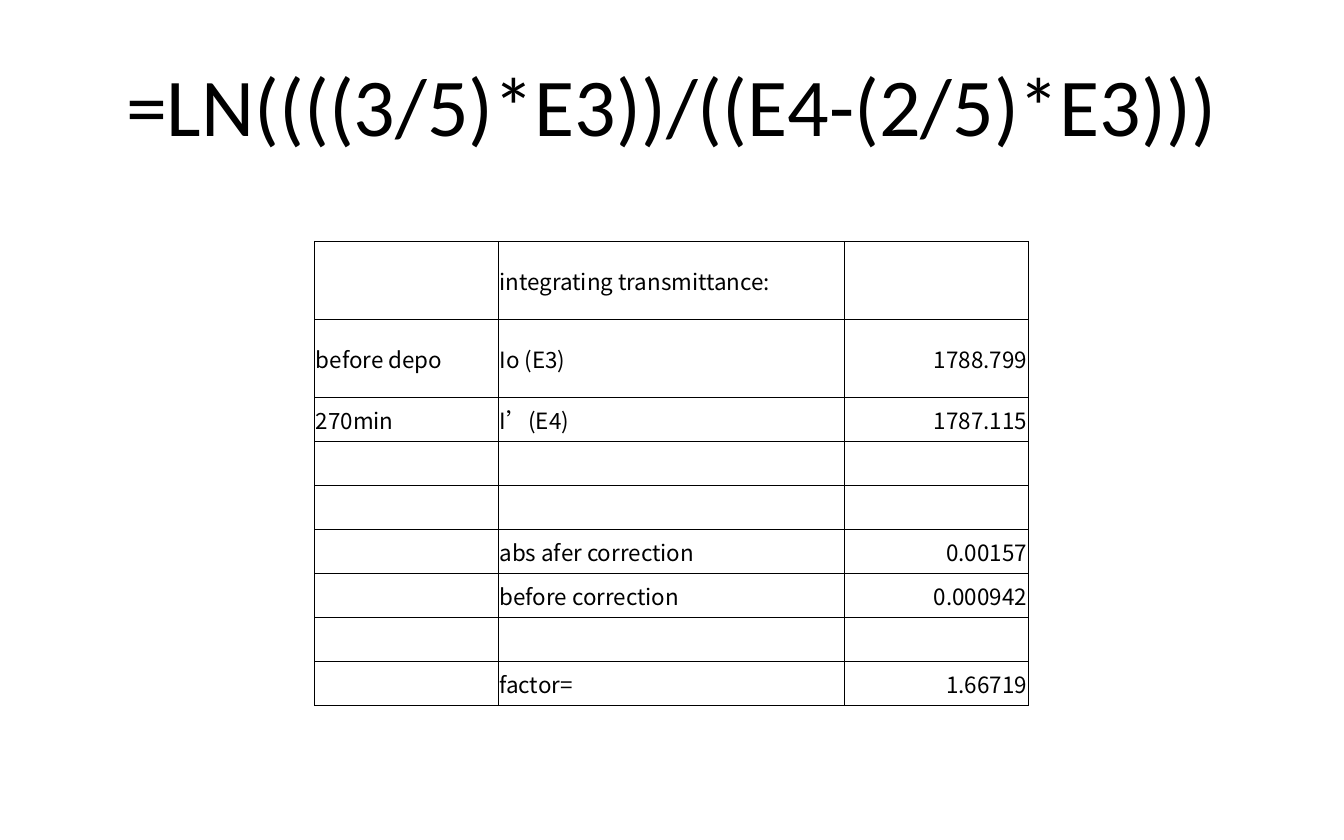
from lxml import etree
from pptx import Presentation
from pptx.dml.color import RGBColor
from pptx.enum import text
from pptx.oxml import ns
from pptx.util import Cm, Pt

TITLE = "=LN((((3/5)*E3))/((E4-(2/5)*E3)))"
ROWS = [
    ("", "integrating transmittance:", ""),
    ("before depo", "Io (E3)", "1788.799"),
    ("270min", "I’(E4)", "1787.115"),
    ("", "", ""),
    ("", "", ""),
    ("", "abs afer correction", "0.00157"),
    ("", "before correction", "0.000942"),
    ("", "", ""),
    ("", "factor=", "1.66719"),
]
COLUMN_WIDTHS = [3.47, 6.53, 3.48]
TALL_ROWS, TALL, SHORT = 2, 1.48, 0.83
COLORS = {"ink": "000000"}
TITLE_FONT, TABLE_FONT = "Calibri", "Noto Sans CJK TC"


def style_text(paragraph, font, size, alignment):
    paragraph.alignment = alignment
    for span in paragraph.runs:
        span.font.name = font
        span.font.size = Pt(size)
        span.font.color.rgb = RGBColor.from_string(COLORS["ink"])
        east_asian = etree.SubElement(span._r.get_or_add_rPr(), ns.qn("a:ea"))
        east_asian.set("typeface", font)


def add_borders(cell):
    properties = cell._tc.get_or_add_tcPr()
    for side in ("lnL", "lnR", "lnT", "lnB"):
        line = etree.SubElement(properties, ns.qn("a:" + side), w=str(Pt(0.5)))
        fill = etree.SubElement(line, ns.qn("a:solidFill"))
        etree.SubElement(fill, ns.qn("a:srgbClr"), val=COLORS["ink"])


def fill_cell(cell, content, alignment):
    cell.text_frame.text = content
    cell.vertical_anchor = text.MSO_ANCHOR.MIDDLE
    cell.margin_left = cell.margin_right = cell.margin_top = Cm(0.02)
    cell.margin_bottom = 0
    add_borders(cell)
    cell.fill.background()
    style_text(cell.text_frame.paragraphs[0], TABLE_FONT, 12, alignment)


def main():
    deck = Presentation()
    deck.slide_width, deck.slide_height = Cm(25.4), Cm(15.88)
    page = deck.slides.add_slide(deck.slide_layouts[5])

    title = page.shapes.title
    title.left, title.top, title.width, title.height = Cm(1.27), Cm(0.64), Cm(22.86), Cm(2.65)
    title.text_frame.text = TITLE
    title.text_frame.vertical_anchor = text.MSO_ANCHOR.MIDDLE
    style_text(title.text_frame.paragraphs[0], TITLE_FONT, 44, text.PP_ALIGN.CENTER)

    heights = [TALL if index < TALL_ROWS else SHORT for index in range(len(ROWS))]
    table = page.shapes.add_table(
        len(ROWS), len(COLUMN_WIDTHS), Cm(5.95), Cm(4.56),
        Cm(sum(COLUMN_WIDTHS)), Cm(sum(heights))).table
    table.first_row = table.horz_banding = False
    for column, width in zip(table.columns, COLUMN_WIDTHS):
        column.width = Cm(width)
    for row, height, contents in zip(table.rows, heights, ROWS):
        row.height = Cm(height)
        for index, content in enumerate(contents):
            alignment = text.PP_ALIGN.RIGHT if index == 2 else text.PP_ALIGN.LEFT
            fill_cell(row.cells[index], content, alignment)

    deck.save("out.pptx")


if __name__ == "__main__":
    main()
